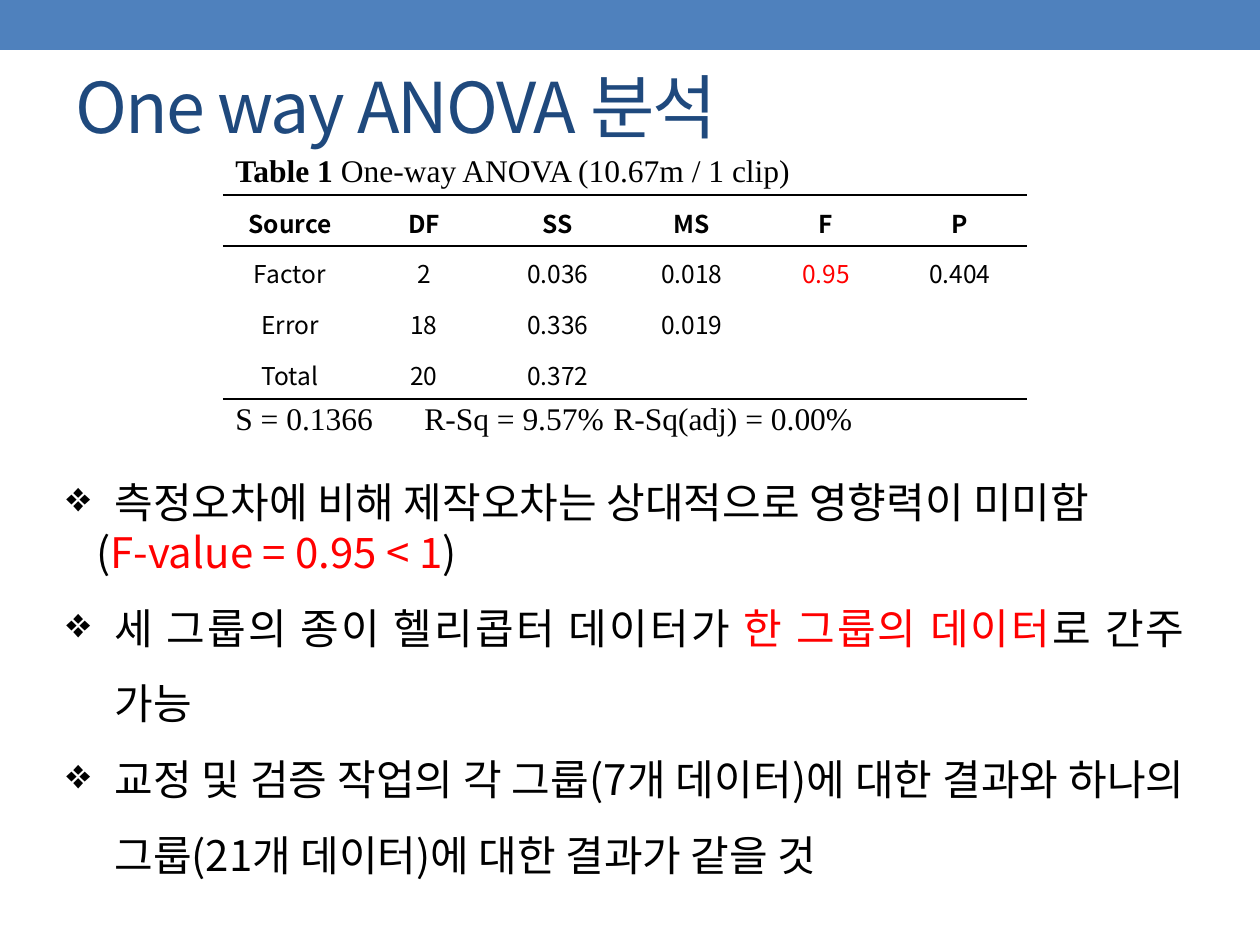
from lxml.etree import SubElement
from pptx import Presentation
from pptx.dml.color import RGBColor
from pptx.enum.shapes import MSO_SHAPE
from pptx.enum.text import MSO_ANCHOR, PP_ALIGN
from pptx.oxml.ns import qn
from pptx.util import Pt

PX = 914400 / 126
SANS, SERIF = "Noto Sans CJK KR", "Times New Roman"
BLACK, RED, NAVY, BLUE = "000000", "FF0000", "1F497D", "4F81BD"


def emu(px):
    return round(px * PX)


def color(code):
    return RGBColor.from_string(code)


class SlideBuilder:
    def __init__(self, slide):
        self.slide = slide

    def bar(self, x, y, w, h, fill):
        band = self.slide.shapes.add_shape(MSO_SHAPE.RECTANGLE, *map(emu, (x, y, w, h)))
        band.shadow.inherit = False
        band.fill.solid()
        band.fill.fore_color.rgb = color(fill)
        band.line.fill.background()

    def text(self, x, y, w, h, anchor=MSO_ANCHOR.TOP):
        frame = self.slide.shapes.add_textbox(*map(emu, (x, y, w, h))).text_frame
        frame.word_wrap = True
        frame.vertical_anchor = anchor
        return frame

    def paragraph(self, paragraph, runs, size, font=SANS, bullet=None,
                  left=0, hanging=0, tabs=(), spacing=None, **formats):
        properties = paragraph._p.get_or_add_pPr()
        properties.set("marL", str(emu(left)))
        properties.set("indent", str(-emu(hanging)))
        if bullet:
            SubElement(properties, qn("a:buChar"), char=bullet)
        if tabs:
            stops = SubElement(properties, qn("a:tabLst"))
            for stop in tabs:
                SubElement(stops, qn("a:tab"), pos=str(emu(stop)), algn="l")
        for name, value in formats.items():
            setattr(paragraph, name, value)
        for words, ink, bold in runs:
            run = paragraph.add_run()
            run.text = words
            for name, value in {"name": font, "size": Pt(size), "bold": bold}.items():
                setattr(run.font, name, value)
            run.font.color.rgb = color(ink)
            letters = run._r.get_or_add_rPr()
            SubElement(letters, qn("a:ea"), typeface=font)
            if spacing:
                letters.set("spc", str(spacing))

    def border(self, cell, sides):
        properties = cell._tc.get_or_add_tcPr()
        for side in "LRTB":
            line = SubElement(properties, qn(f"a:ln{side}"), w=str(Pt(1)))
            if side in sides:
                fill = SubElement(line, qn("a:solidFill"))
                SubElement(fill, qn("a:srgbClr"), val=BLACK)
            else:
                SubElement(line, qn("a:noFill"))

    def table(self, x, y, col_width, row_height, rows, rules, highlights):
        n_rows, n_cols = len(rows), len(rows[0])
        grid = self.slide.shapes.add_table(
            n_rows, n_cols, emu(x), emu(y),
            emu(col_width * n_cols), emu(row_height * n_rows)).table
        grid.first_row = grid.horz_banding = False
        for r, row in enumerate(rows):
            for c, value in enumerate(row):
                cell = grid.cell(r, c)
                for side in ("left", "right", "top", "bottom"):
                    setattr(cell, f"margin_{side}", 0)
                cell.vertical_anchor = MSO_ANCHOR.MIDDLE
                self.border(cell, rules.get(r, ""))
                cell.fill.background()
                ink = RED if value in highlights else BLACK
                runs = [(value, ink, r == 0)] if value else []
                self.paragraph(cell.text_frame.paragraphs[0], runs, 14,
                               alignment=PP_ALIGN.CENTER, line_spacing=1.1)


def main():
    deck = Presentation()
    deck.slide_width, deck.slide_height = emu(1260), emu(945)
    builder = SlideBuilder(deck.slides.add_slide(deck.slide_layouts[6]))

    builder.bar(0, 0, 1260, 50, BLUE)

    caption = builder.text(223, 145, 843, 50)
    builder.paragraph(caption.paragraphs[0],
                      [("Table 1 ", BLACK, True),
                       ("One-way ANOVA (10.67m / 1 clip)", BLACK, False)], 18, SERIF)

    anova = [
        ["Source", "DF", "SS", "MS", "F", "P"],
        ["Factor", "2", "0.036", "0.018", "0.95", "0.404"],
        ["Error", "18", "0.336", "0.019", "", ""],
        ["Total", "20", "0.372", "", "", ""],
    ]
    builder.table(223, 195, 134, 51, anova, {0: "TB", 1: "T", 3: "B"}, {"0.95"})

    summary = builder.text(223, 393, 843, 50)
    builder.paragraph(summary.paragraphs[0],
                      [("S = 0.1366\tR-Sq = 9.57%\tR-Sq(adj) = 0.00%", BLACK, False)],
                      18, SERIF, tabs=(161, 364))

    bulleted = {"bullet": "❖", "left": 48, "hanging": 48}
    findings = [
        ([("측정오차에 비해 제작오차는 상대적으로 영향력이 미미함", BLACK, False)], bulleted),
        ([("(", BLACK, False), ("F-value = 0.95 < 1", RED, False), (")", BLACK, False)],
         {"left": 30}),
        ([("세 그룹의 종이 헬리콥터 데이터가 ", BLACK, False),
          ("한 그룹의 데이터", RED, False), ("로 간주 가능", BLACK, False)],
         {**bulleted, "line_spacing": 1.5}),
        ([("교정 및 검증 작업의 각 그룹(7개 데이터)에 대한 결과와 "
           "하나의 그룹(21개 데이터)에 대한 결과가 같을 것", BLACK, False)],
         {**bulleted, "line_spacing": 1.5}),
    ]
    conclusions = builder.text(54, 470, 1143, 420)
    for i, (runs, layout) in enumerate(findings):
        line = conclusions.add_paragraph() if i else conclusions.paragraphs[0]
        builder.paragraph(line, runs, 24, alignment=PP_ALIGN.JUSTIFY, **layout)

    title = builder.text(63, 38, 1134, 136, MSO_ANCHOR.MIDDLE)
    builder.paragraph(title.paragraphs[0], [("One way ANOVA 분석", NAVY, False)],
                      40, spacing=-100)

    deck.save("out.pptx")


if __name__ == "__main__":
    main()
